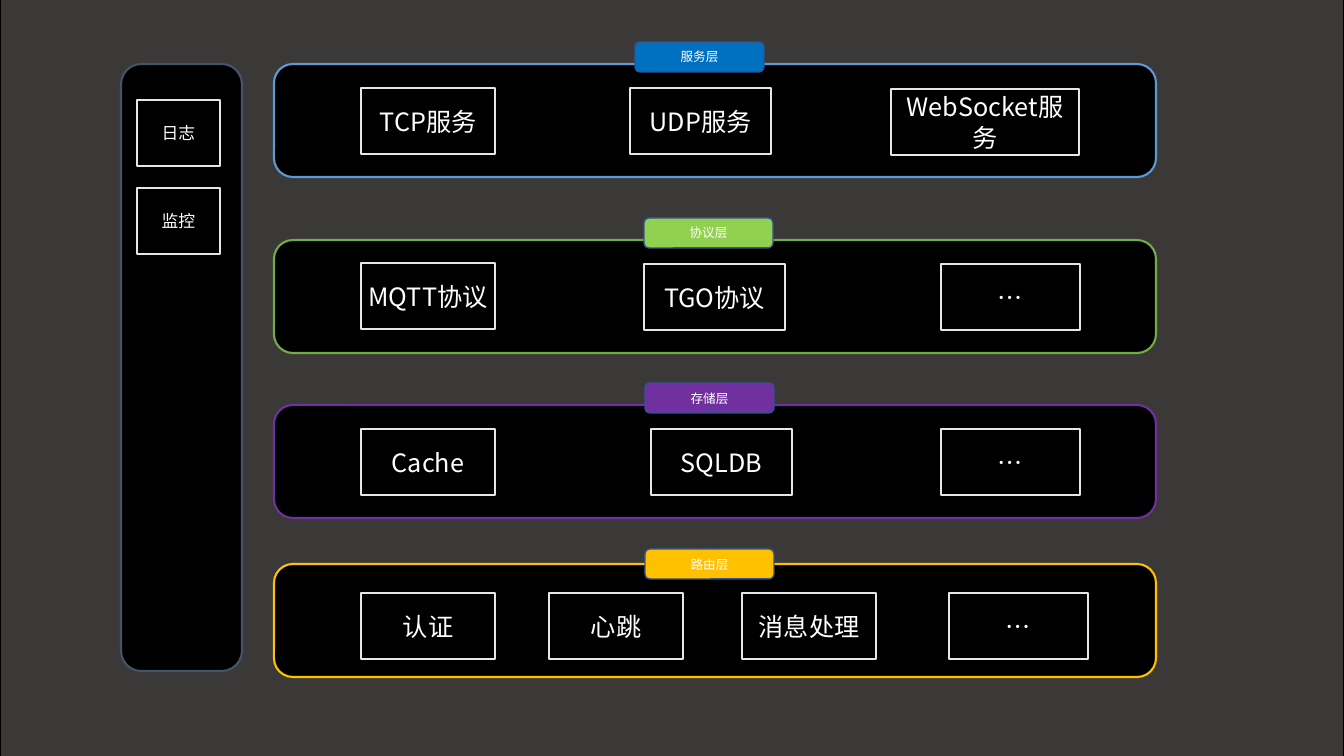
from lxml.etree import SubElement
from pptx import Presentation
from pptx.dml.color import RGBColor
from pptx.enum.shapes import MSO_SHAPE as SHAPE
from pptx.enum.text import MSO_ANCHOR as ANCHOR, PP_ALIGN as ALIGN
from pptx.oxml.ns import qn
from pptx.util import Pt

PX = 12192000 / 1344
FONT = "Noto Sans CJK SC"
COLORS = {
    "backdrop": "3B3838", "black": "000000", "white": "FFFFFF",
    "box_line": "E7E6E6", "tag_line": "325491", "sidebar_line": "44546A",
    "blue_line": "5B9BD5", "blue": "0070C0",
    "green_line": "70AD47", "green": "92D050",
    "purple": "7030A0", "amber": "FFC000",
}
LAYER_LEFT, LAYER_W, LAYER_H = 274, 882, 113
TAG_W, TAG_H = 129, 30
BOX_H = 66

# name, line, tag fill, layer top, tag left, tag top, boxes (text, left, top, width)
LAYERS = [
    ("服务层", "blue_line", "blue", 64, 635, 42,
     [("TCP服务", 361, 88, 134), ("UDP服务", 630, 88, 141),
      ("WebSocket服务", 891, 89, 188)]),
    ("协议层", "green_line", "green", 240, 644, 218,
     [("MQTT协议", 361, 263, 134), ("TGO协议", 644, 264, 141),
      ("…", 941, 264, 139)]),
    ("存储层", "purple", "purple", 405, 645, 383,
     [("Cache", 361, 429, 134), ("SQLDB", 651, 429, 141),
      ("…", 941, 429, 139)]),
    ("路由层", "amber", "amber", 564, 645, 549,
     [("认证", 361, 593, 134), ("心跳", 549, 593, 134),
      ("消息处理", 742, 593, 134), ("…", 949, 593, 139)]),
]


def px(n):
    return round(n * PX)


def rgb(name):
    return RGBColor.from_string(COLORS[name])


def add_block(s, kind, left, top, width, height, fill, line, weight=1):
    sp = s.shapes.add_shape(kind, px(left), px(top), px(width), px(height))
    sp.shadow.inherit = False
    sp.fill.solid()
    sp.fill.fore_color.rgb = rgb(fill)
    sp.line.color.rgb = rgb(line)
    sp.line.width = Pt(weight)
    return sp


def set_label(sp, text, size):
    """Centre white text in the shape, in one font for Latin and Chinese."""
    tf = sp.text_frame
    tf.word_wrap = True
    tf.vertical_anchor = ANCHOR.MIDDLE
    tf.margin_left = tf.margin_right = px(7)
    tf.margin_top = tf.margin_bottom = px(4)
    tf.text = text
    p = tf.paragraphs[0]
    p.alignment = ALIGN.CENTER
    r = p.runs[0]
    r.font.size = Pt(size)
    r.font.name = FONT
    r.font.color.rgb = rgb("white")
    SubElement(r.font._element, qn("a:ea"), typeface=FONT)


def add_box(s, text, left, top, width, size=18):
    sp = add_block(s, SHAPE.RECTANGLE, left, top, width, BOX_H,
                   "black", "box_line")
    set_label(sp, text, size)


def add_layer(s, name, line, fill, top, tag_left, tag_top, boxes):
    add_block(s, SHAPE.ROUNDED_RECTANGLE, LAYER_LEFT, top, LAYER_W, LAYER_H,
              "black", line, 1.5)
    for box in boxes:
        add_box(s, *box)
    tag = add_block(s, SHAPE.ROUNDED_RECTANGLE, tag_left, tag_top,
                    TAG_W, TAG_H, fill, "tag_line")
    set_label(tag, name, 9)


def add_sidebar(s):
    add_block(s, SHAPE.ROUNDED_RECTANGLE, 121, 64, 121, 607,
              "black", "sidebar_line", 1.5)
    for i, text in enumerate(["日志", "监控"]):
        add_box(s, text, 137, 100 + 88 * i, 83, 12)


def main():
    prs = Presentation()
    prs.slide_width, prs.slide_height = px(1344), px(756)
    s = prs.slides.add_slide(prs.slide_layouts[6])
    add_block(s, SHAPE.RECTANGLE, 0, -23, 1344, 804, "backdrop", "black")
    for layer in LAYERS:
        add_layer(s, *layer)
    add_sidebar(s)
    prs.save("out.pptx")


if __name__ == "__main__":
    main()
